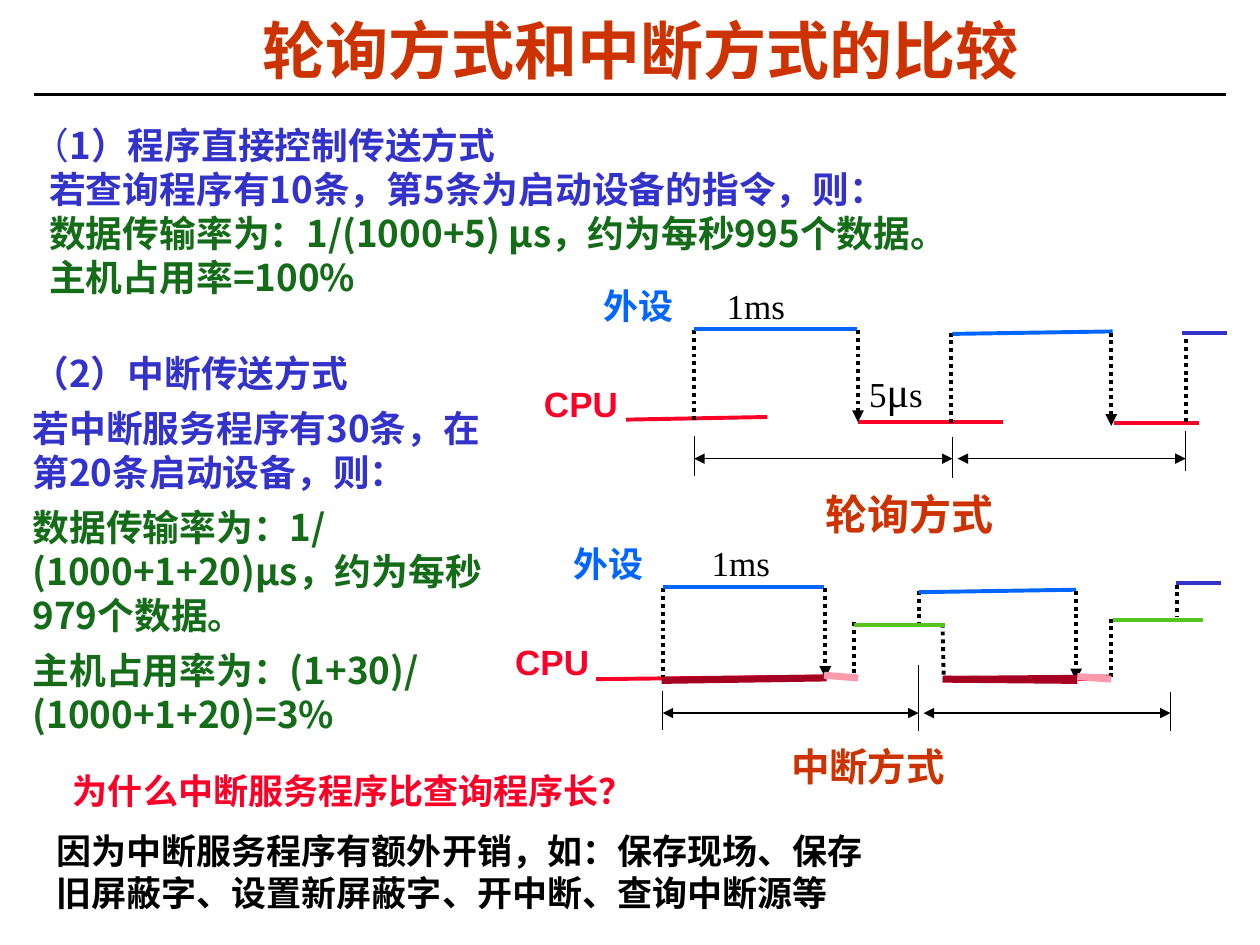
"""Build a slide comparing polling with interrupt-driven transfer."""
from dataclasses import dataclass, replace

from lxml.etree import SubElement
from pptx import Presentation
from pptx.dml.color import RGBColor as RGB
from pptx.enum.dml import MSO_LINE_DASH_STYLE as DASH
from pptx.enum.shapes import MSO_CONNECTOR as CONN, MSO_SHAPE as SHAPE
from pptx.enum.text import PP_ALIGN as ALIGN
from pptx.oxml.ns import qn
from pptx.slide import Slide
from pptx.text.text import Font
from pptx.util import Pt


@dataclass(frozen=True)
class Theme:
    title: str = "CC3300"
    indigo: str = "3333CC"
    green: str = "146C18"
    lime: str = "56C61E"
    blue: str = "0066FF"
    red: str = "FC0128"
    crimson: str = "A50021"
    pink: str = "FE9AAB"
    black: str = "000000"
    white: str = "FFFFFF"
    sans: str = "Noto Sans CJK SC"
    arial: str = "Arial"
    times: str = "Times New Roman"
    title_size: float = 36
    caption_size: float = 24
    small_caption_size: float = 22
    body_size: float = 21
    label_size: float = 20


T = Theme()


@dataclass(frozen=True)
class Type:
    face: str
    size: float
    color: str
    bold: bool = True


@dataclass(frozen=True)
class Para:
    runs: tuple[tuple[str, Type], ...]
    before: float = 0
    indent: float = 0


@dataclass(frozen=True)
class Box:
    left: float
    top: float
    width: float
    height: float
    paras: tuple[Para, ...]
    inset: tuple[float, float] = (7.2, 3.6)
    align: ALIGN = ALIGN.LEFT
    spacing: float | None = None
    fill: str | None = None
    wrap: bool = True


@dataclass(frozen=True)
class Pen:
    color: str
    width: float = 2.25
    dotted: bool = False
    head: bool = False
    tail: bool = False


TITLE = Type(T.sans, T.title_size, T.title)
BODY = Type(T.sans, T.body_size, T.indigo)
RESULT = replace(BODY, color=T.green)
DEVICE = Type(T.times, T.label_size, T.blue)
CPU = Type(T.arial, T.label_size, T.red)
ANSWER = replace(CPU, color=T.black)
TIME = Type(T.times, T.label_size, T.black, False)
MU = replace(TIME, size=T.caption_size)
CAPTION = Type(T.times, T.caption_size, T.title)
SMALL_CAPTION = replace(CAPTION, size=T.small_caption_size)

RULE = Pen(T.black, 1.5)
TICK = Pen(T.black, 0.75)
SPAN = replace(TICK, head=True, tail=True)
EDGE = Pen(T.black, dotted=True)
DROP = replace(EDGE, tail=True)
BUSY, IDLE, NEXT, MAIN = Pen(T.blue), Pen(T.red), Pen(T.indigo), Pen(T.lime)
SERVICE = Pen(T.crimson, 4)
OVERHEAD = Pen(T.pink, 4)


def line(text: str, kind: Type, before: float = 0, indent: float = 0) -> Para:
    return Para(((text, kind),), before, indent)


def label(left: float, top: float, width: float, height: float, text: str, kind: Type, **opts) -> Box:
    return Box(left, top, width, height, (line(text, kind),), **opts)


BOXES = (
    label(31.7, 10.1, 668.9, 41.8, "轮询方式和中断方式的比较", TITLE, inset=(5, 2.2), align=ALIGN.CENTER, spacing=0.87),
    Box(13.7, 67.7, 616.3, 130.3, (
        Para((("（", replace(BODY, bold=False)), ("1）程序直接控制传送方式", BODY))),
        line("若查询程序有10条，第5条为启动设备的指令，则：", BODY, indent=9.5),
        line("数据传输率为：1/(1000+5) μs，约为每秒995个数据。", RESULT, indent=9.5),
        line("主机占用率=100%", RESULT, indent=9.5),
    ), inset=(5, 2.2)),
    Box(11.5, 196.6, 288.7, 231.8, (
        line("（2）中断传送方式", BODY),
        line("若中断服务程序有30条，在第20条启动设备，则：", BODY, 6.3),
        line("数据传输率为：1/(1000+1+20)μs，约为每秒979个数据。", RESULT, 6.3),
        line("主机占用率为：(1+30)/(1000+1+20)=3%", RESULT, 6.3),
    )),
    label(337.7, 159.1, 85.7, 31, "外设", DEVICE),
    label(303.8, 215.3, 93.6, 31, "CPU", CPU),
    label(408.2, 159.1, 79.2, 31, "1ms", TIME),
    Box(489.6, 205.2, 79.2, 36, (Para((("5", TIME), ("μ", MU), ("s", TIME))),)),
    label(464.4, 275.8, 160.6, 36, "轮询方式", CAPTION),
    label(34.6, 436.3, 344.9, 31, "为什么中断服务程序比查询程序长？", CPU),
    label(25.2, 470.2, 489.6, 55.4, "因为中断服务程序有额外开销，如：保存现场、保存旧屏蔽字、设置新屏蔽字、开中断、查询中断源等", ANSWER, fill=T.white),
    label(320.4, 306.7, 84.2, 31, "外设", DEVICE),
    label(287.3, 362.2, 92.9, 31, "CPU", CPU),
    label(399.6, 306, 78.5, 31, "1ms", TIME),
    label(445, 421.2, 103, 33.8, "中断方式", SMALL_CAPTION, wrap=False),
)

POLLING = (
    (IDLE, ((357.8, 239.8, 438.5, 238.3), (490.3, 241.2, 573.1, 241.2), (636.5, 241.9, 685.4, 241.9))),
    (EDGE, ((396.7, 188.6, 396.7, 240.5), (543.6, 190.1, 543.6, 242.6), (677.5, 189.4, 677.5, 241.2))),
    (BUSY, ((396.7, 187.9, 489.6, 187.9), (544.3, 190.8, 635.8, 189.4))),
    (DROP, ((490.3, 188.6, 490.3, 241.2), (635, 190.1, 635, 243.4))),
    (TICK, ((396.7, 249.1, 396.7, 272.2), (544.3, 249.8, 544.3, 272.9), (677.5, 246.2, 677.5, 269.3))),
    (NEXT, ((675.4, 190.1, 701.3, 190.1),)),
    (SPAN, ((396.7, 262.1, 544.3, 262.1), (547.2, 262.1, 677.5, 262.1))),
)
INTERRUPT = (
    (IDLE, ((340.6, 388.1, 472.3, 386.6), (471.6, 386.6, 490.3, 387.4), (616.3, 388.1, 635, 388.1))),
    (EDGE, ((378.7, 336.2, 378.7, 386.6), (488.2, 355.7, 488.2, 388.1), (524.9, 337.7, 524.9, 355.7),
            (538.6, 356.4, 539.3, 388.1), (635, 353.5, 635, 387.4), (672.5, 334.1, 672.5, 352.1))),
    (BUSY, ((378.7, 335.5, 470.9, 335.5), (524.9, 338.4, 614.9, 337))),
    (DROP, ((471.6, 336.2, 471.6, 387.4), (614.9, 337.7, 614.9, 388.8))),
    (TICK, ((378.7, 394.6, 378.7, 416.9), (524.9, 380.2, 524.9, 417.6), (668.9, 395.3, 668.9, 417.6))),
    (NEXT, ((671.8, 333.4, 697.7, 333.4),)),
    (SPAN, ((378.7, 407.5, 524.9, 407.5), (527.8, 407.5, 668.9, 407.5))),
    (MAIN, ((488.2, 357.1, 540, 357.1), (635.8, 354.2, 687.6, 354.2))),
    (replace(SERVICE, width=2.25), ((539.3, 387.4, 633.6, 386.6),)),
    (SERVICE, ((378, 388.8, 472.3, 387.4), (538.6, 388.1, 615.6, 388.8))),
    (OVERHEAD, ((470.9, 385.9, 490.3, 387.4), (615.6, 386.6, 635, 388.1))),
)


def set_font(font: Font, kind: Type) -> None:
    font.name, font.size, font.bold = kind.face, Pt(kind.size), kind.bold
    font.color.rgb = RGB.from_string(kind.color)


def draw_box(s: Slide, box: Box) -> None:
    frame = tuple(Pt(v) for v in (box.left, box.top, box.width, box.height))
    if box.fill:
        sp = s.shapes.add_shape(SHAPE.RECTANGLE, *frame)
        sp.shadow.inherit = False
        sp.fill.solid()
        sp.fill.fore_color.rgb = RGB.from_string(box.fill)
        sp.line.fill.background()
    else:
        sp = s.shapes.add_textbox(*frame)
    tf = sp.text_frame
    tf.word_wrap = box.wrap
    tf.margin_left = tf.margin_right = Pt(box.inset[0])
    tf.margin_top = tf.margin_bottom = Pt(box.inset[1])
    for i, para in enumerate(box.paras):
        p = tf.paragraphs[0] if i == 0 else tf.add_paragraph()
        p.alignment, p.line_spacing, p.space_before = box.align, box.spacing, Pt(para.before)
        p._p.get_or_add_pPr().set("marL", str(Pt(para.indent)))
        for text, kind in para.runs:
            r = p.add_run()
            r.text = text
            set_font(p.font if len(para.runs) == 1 else r.font, kind)


def draw_line(s: Slide, pen: Pen, ends: tuple[float, ...]) -> None:
    cx = s.shapes.add_connector(CONN.STRAIGHT, *(Pt(v) for v in ends))
    cx.line.color.rgb = RGB.from_string(pen.color)
    cx.line.width = Pt(pen.width)
    if pen.dotted:
        cx.line.dash_style = DASH.ROUND_DOT
    for tag, wanted in (("a:headEnd", pen.head), ("a:tailEnd", pen.tail)):
        if wanted:
            SubElement(cx.line._get_or_add_ln(), qn(tag), type="triangle")
    SubElement(cx._element.spPr, qn("a:effectLst"))


def main() -> None:
    prs = Presentation()
    prs.slide_width, prs.slide_height = Pt(720), Pt(540)
    s = prs.slides.add_slide(prs.slide_layouts[6])
    draw_line(s, RULE, (19.4, 54, 700.6, 54))
    for box in BOXES:
        draw_box(s, box)
    for pen, segments in POLLING + INTERRUPT:
        for ends in segments:
            draw_line(s, pen, ends)
    prs.save("out.pptx")


if __name__ == "__main__":
    main()
